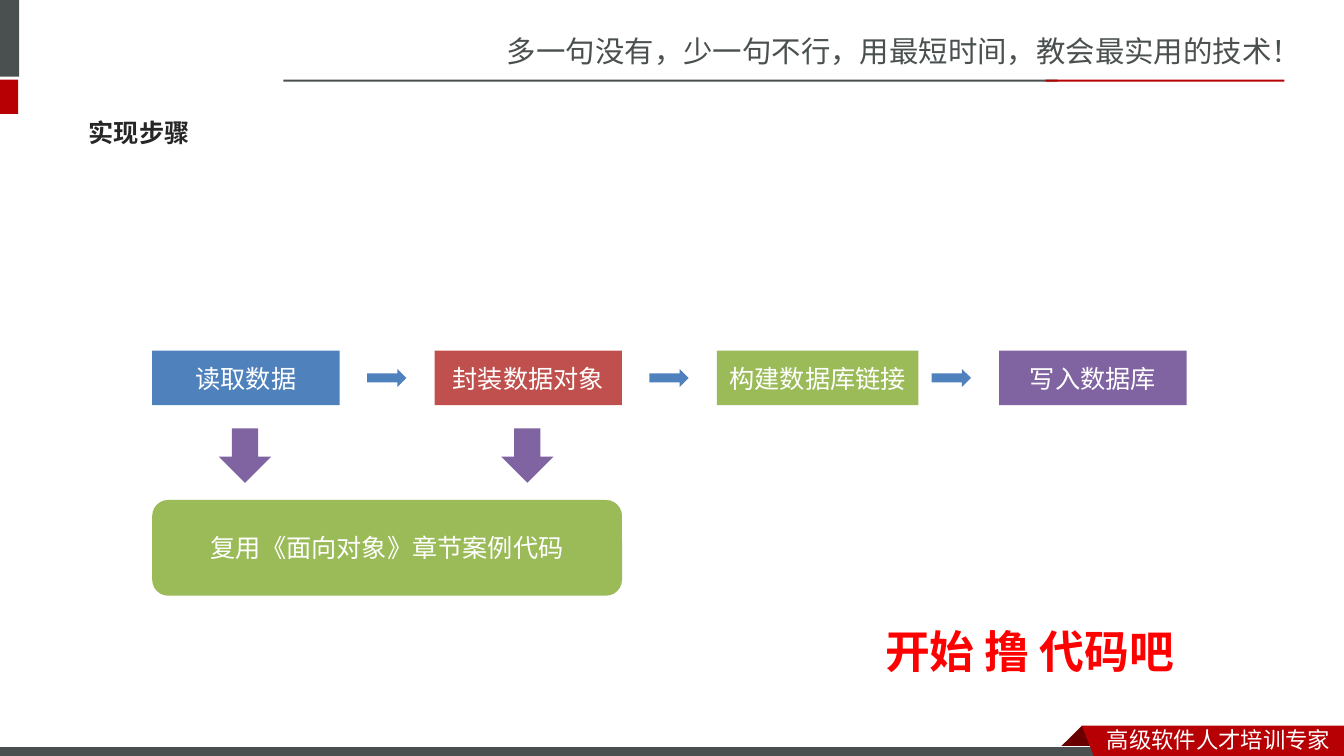
"""Build the implementation-steps slide: a four-step flow with reused code below."""
from dataclasses import dataclass

from lxml import etree
from pptx import Presentation
from pptx.dml.color import RGBColor
from pptx.enum.shapes import MSO_SHAPE
from pptx.enum.text import MSO_ANCHOR, MSO_AUTO_SIZE, PP_ALIGN
from pptx.oxml.ns import qn
from pptx.util import Inches, Pt

RECT = MSO_SHAPE.RECTANGLE
ROUNDED = MSO_SHAPE.ROUNDED_RECTANGLE
RIGHT_ARROW = MSO_SHAPE.RIGHT_ARROW
DOWN_ARROW = MSO_SHAPE.DOWN_ARROW
MIDDLE = MSO_ANCHOR.MIDDLE
CENTER = PP_ALIGN.CENTER
GROW = MSO_AUTO_SIZE.SHAPE_TO_FIT_TEXT

CJK_FONT = "Noto Sans CJK SC"
STEP_FONT = "Calibri"
GREY, RED, DARK_RED, WHITE = "49504F", "B60004", "680000", "FFFFFF"
BLUE, BRICK, GREEN, PURPLE = "4F81BD", "C0504D", "9BBB59", "8064A2"

FLOW_LEFT, STEP_PITCH, STEP_WIDTH = 1.51, 2.8, 1.86


@dataclass
class Block:
    kind: int
    left: float
    top: float
    width: float
    height: float
    fill: str
    text: str = ""
    outline: str = ""


@dataclass
class Caption:
    text: str
    left: float
    top: float
    width: float
    height: float
    size: float
    color: str
    bold: bool = False
    wrap: bool = True


@dataclass
class Ribbon:
    points: list[tuple[float, float]]
    fill: str


@dataclass
class Step:
    text: str
    fill: str
    width: float = STEP_WIDTH


BANDS = [
    Block(RECT, -0.06, 0, 0.25, 0.76, GREY),
    Block(RECT, -0.06, 0.79, 0.24, 0.34, RED),
    Block(RECT, 2.81, 0.79, 7.68, 0.02, GREY),
    Block(RECT, 10.37, 0.79, 2.37, 0.02, RED),
]
FOOTER_BAR = Block(RECT, -0.01, 7.41, 11, 0.12, GREY, outline=WHITE)
RIBBON_FOLD = Ribbon(
    [(10.73, 7.2), (10.95, 7.42), (10.94, 7.43), (10.52, 7.43), (10.51, 7.42)], DARK_RED)
RIBBON_FRONT = Ribbon([(10.73, 7.2), (13.33, 7.2), (13.33, 7.54), (10.86, 7.53)], RED)

SLOGAN = Caption("多一句没有，少一句不行，用最短时间，教会最实用的技术！",
                 4.93, 0.28, 8.41, 0.47, 21, GREY)
FOOTER = Caption("高级软件人才培训专家", 10.88, 7.15, 2.45, 0.37, 16, WHITE)
CALL_TO_CODE = Caption("开始 撸 代码吧", 8.68, 6.14, 3.12, 0.64, 32, "FF0000",
                       bold=True, wrap=False)

STEPS = [
    Step("读取数据", BLUE),
    Step("封装数据对象", BRICK),
    Step("构建数据库链接", GREEN, 2),
    Step("写入数据库", PURPLE),
]
REUSED_STEPS = 2
REUSED_CODE = Block(ROUNDED, FLOW_LEFT, 4.96, 4.66, 0.95, GREEN, "复用《面向对象》章节案例代码")


def rgb(color: str) -> RGBColor:
    return RGBColor.from_string(color)


def add_run(paragraph, text: str, size: float, color: str, font_name: str,
            bold: bool = False) -> None:
    run = paragraph.add_run()
    run.text = text
    run.font.size = Pt(size)
    run.font.bold = bold
    run.font.color.rgb = rgb(color)
    run.font.name = font_name
    east_asian = etree.SubElement(run.font._element, qn("a:ea"))
    east_asian.set("typeface", CJK_FONT)


def paint(shape, fill: str, outline: str = "") -> None:
    shape.shadow.inherit = False
    shape.fill.solid()
    shape.fill.fore_color.rgb = rgb(fill)
    if outline:
        shape.line.color.rgb = rgb(outline)
        shape.line.width = Pt(0.75)
    else:
        shape.line.fill.background()


def draw_block(slide, block: Block) -> None:
    shape = slide.shapes.add_shape(block.kind, Inches(block.left), Inches(block.top),
                                   Inches(block.width), Inches(block.height))
    paint(shape, block.fill, block.outline)
    if block.text:
        frame = shape.text_frame
        frame.word_wrap = True
        frame.vertical_anchor = MIDDLE
        paragraph = frame.paragraphs[0]
        paragraph.alignment = CENTER
        add_run(paragraph, block.text, 18, WHITE, STEP_FONT)


def draw_ribbon(slide, ribbon: Ribbon) -> None:
    corners = [(Inches(x), Inches(y)) for x, y in ribbon.points]
    builder = slide.shapes.build_freeform(*corners[0])
    builder.add_line_segments(corners[1:], close=True)
    paint(builder.convert_to_shape(), ribbon.fill)


def draw_caption(slide, caption: Caption) -> None:
    box = slide.shapes.add_textbox(Inches(caption.left), Inches(caption.top),
                                   Inches(caption.width), Inches(caption.height))
    frame = box.text_frame
    frame.word_wrap = caption.wrap
    frame.auto_size = GROW
    add_run(frame.paragraphs[0], caption.text, caption.size, caption.color,
            CJK_FONT, caption.bold)


def fill_heading(slide, text: str) -> None:
    heading = slide.placeholders[1]
    heading.left, heading.top = Inches(0.78), Inches(1.03)
    heading.width, heading.height = Inches(11.7), Inches(0.57)
    frame = heading.text_frame
    frame.vertical_anchor = MIDDLE
    paragraph = frame.paragraphs[0]
    properties = paragraph._p.get_or_add_pPr()
    properties.set("marL", "0")
    properties.set("indent", "0")
    etree.SubElement(properties, qn("a:buNone"))
    paragraph.space_before = Pt(0)
    add_run(paragraph, text, 18, "262626", CJK_FONT, bold=True)


def draw_flow(slide) -> None:
    for index, step in enumerate(STEPS):
        left = FLOW_LEFT + index * STEP_PITCH
        draw_block(slide, Block(RECT, left, 3.48, step.width, 0.54, step.fill, step.text))
        if index < len(STEPS) - 1:
            draw_block(slide, Block(RIGHT_ARROW, left + 2.13, 3.66, 0.39, 0.18, BLUE))
        if index < REUSED_STEPS:
            draw_block(slide, Block(DOWN_ARROW, left + 0.66, 4.25, 0.52, 0.54, PURPLE))
    draw_block(slide, REUSED_CODE)


def main() -> None:
    deck = Presentation()
    deck.slide_width, deck.slide_height = Inches(13.33), Inches(7.5)
    slide = deck.slides.add_slide(deck.slide_layouts[1])
    unused_title = slide.shapes.title._element
    unused_title.getparent().remove(unused_title)

    draw_caption(slide, SLOGAN)
    for band in BANDS:
        draw_block(slide, band)
    draw_ribbon(slide, RIBBON_FOLD)
    draw_block(slide, FOOTER_BAR)
    draw_ribbon(slide, RIBBON_FRONT)
    draw_caption(slide, FOOTER)
    fill_heading(slide, "实现步骤")
    draw_flow(slide)
    draw_caption(slide, CALL_TO_CODE)
    deck.save("out.pptx")


if __name__ == "__main__":
    main()
